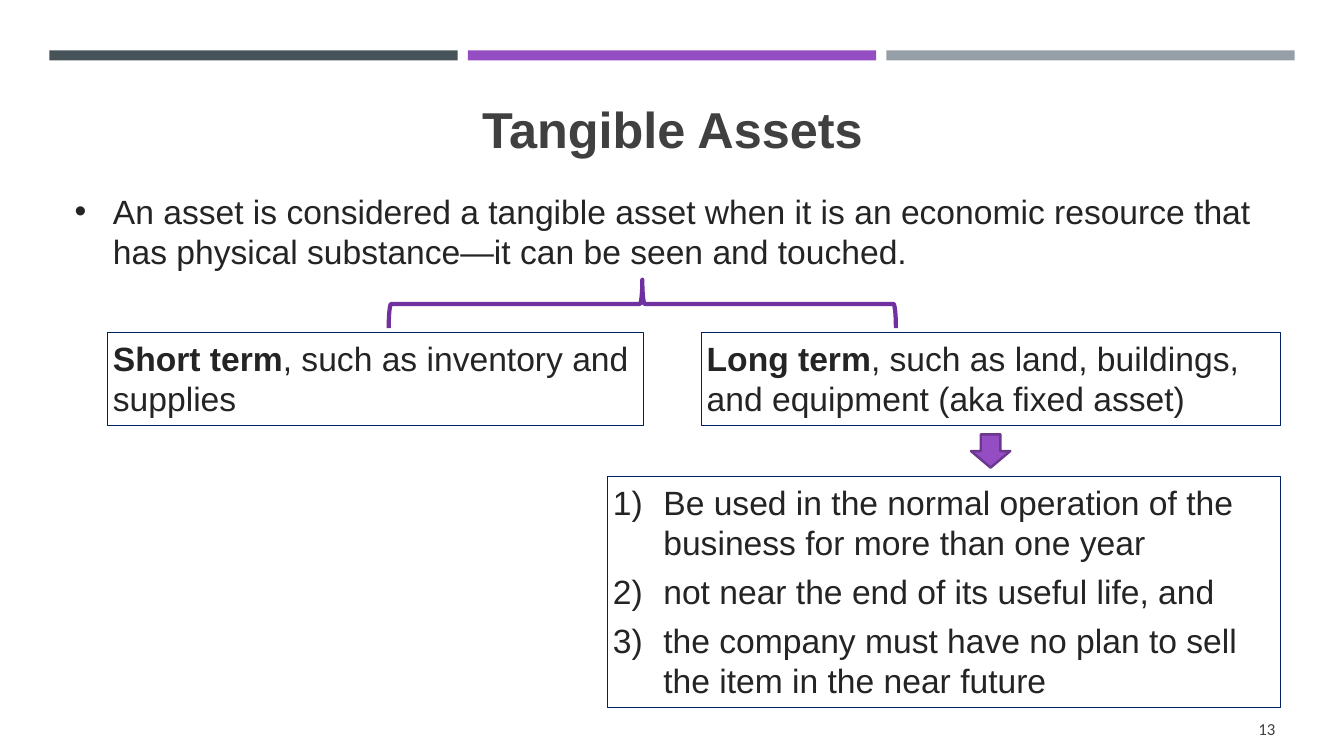
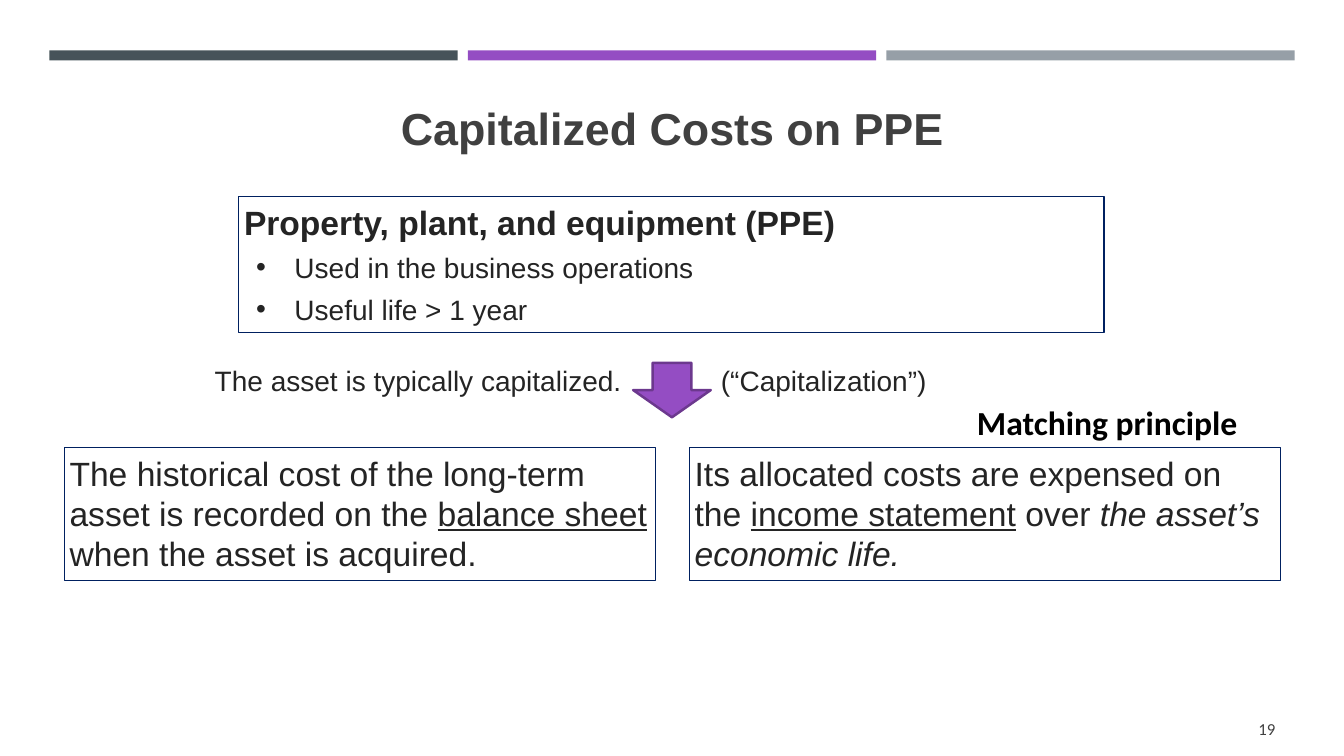
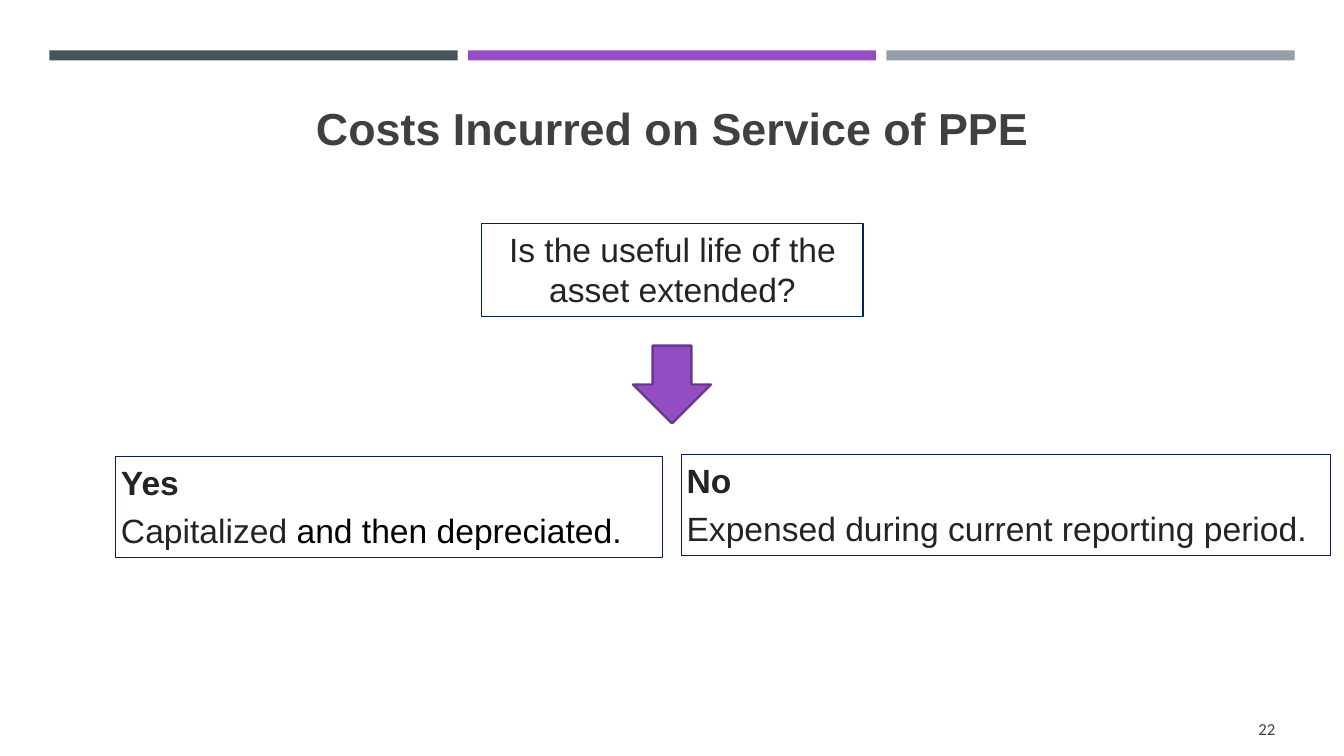
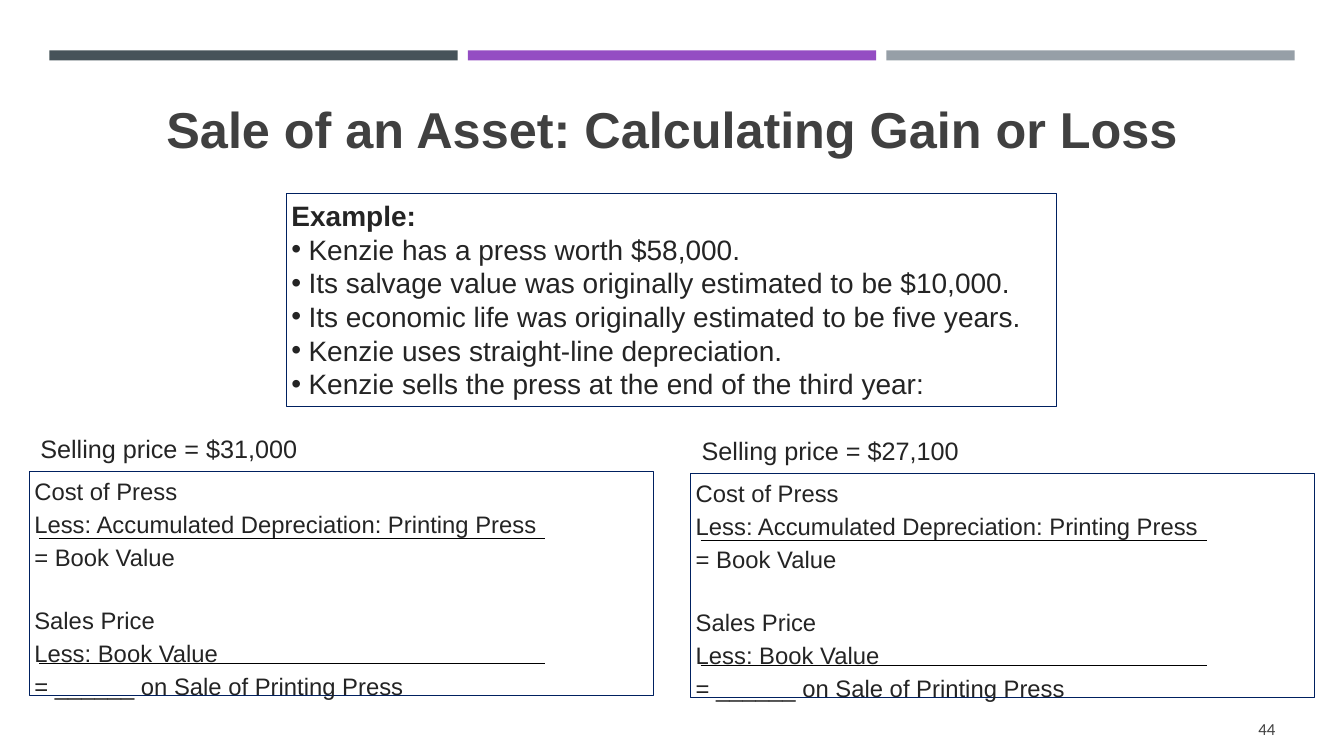
from dataclasses import dataclass

from lxml.etree import SubElement
from pptx import Presentation
from pptx.dml.color import RGBColor
from pptx.enum.shapes import MSO_CONNECTOR, MSO_SHAPE
from pptx.enum.text import MSO_ANCHOR, MSO_AUTO_SIZE, PP_ALIGN
from pptx.oxml.ns import qn
from pptx.util import Inches, Pt

COLORS = {
    "slate": "465359",
    "purple": "944DC3",
    "gray": "969FA7",
    "title": "404040",
    "text": "242424",
    "black": "000000",
    "box_line": "002060",
    "brace": "7030A0",
    "arrow_line": "6C388E",
}
BODY_FONT = "Arial"
NUMBER_FONT = "Calibri"
BOLD = {"bold": True}
ITALIC = {"italic": True}
UNDERLINE = {"underline": True}


@dataclass
class Line:
    """One paragraph: plain text or (text, style) runs, with its spacing and bullet."""

    runs: object
    size: float = 24
    before: float = 0
    bullet: str = ""
    margin: float = 0
    hanging: float = 0
    align: PP_ALIGN = PP_ALIGN.LEFT
    font: str = BODY_FONT
    color: str = "text"


def rgb(name):
    """Return the named colour."""
    return RGBColor.from_string(COLORS[name])


def set_bullet(paragraph, line):
    """Set the indents and the bullet, number or absence of both."""
    properties = paragraph._p.get_or_add_pPr()
    properties.set("marL", str(Inches(line.margin)))
    properties.set("indent", str(Inches(-line.hanging)))
    if not line.bullet:
        SubElement(properties, qn("a:buNone"))
        return
    SubElement(properties, qn("a:buFont"), typeface=BODY_FONT)
    if line.bullet == "number":
        SubElement(properties, qn("a:buAutoNum"), type="arabicParenR")
    else:
        SubElement(properties, qn("a:buChar"), char=line.bullet)


def write_lines(shape, lines, anchor=MSO_ANCHOR.TOP):
    """Fill a shape with formatted paragraphs."""
    frame = shape.text_frame
    frame.word_wrap = True
    frame.auto_size = MSO_AUTO_SIZE.NONE
    frame.vertical_anchor = anchor
    frame.margin_left = frame.margin_right = Inches(0.05)
    frame.margin_top = frame.margin_bottom = Inches(0.05)
    for index, line in enumerate(lines):
        paragraph = frame.add_paragraph() if index else frame.paragraphs[0]
        paragraph.alignment = line.align
        paragraph.space_before = Pt(line.before if index else 0)
        set_bullet(paragraph, line)
        runs = [(line.runs, {})] if isinstance(line.runs, str) else line.runs
        for text, style in runs:
            run = paragraph.add_run()
            run.text = text
            run.font.name = line.font
            run.font.size = Pt(line.size)
            run.font.bold = style.get("bold", False)
            run.font.italic = style.get("italic", False)
            run.font.underline = style.get("underline", False)
            run.font.color.rgb = rgb(style.get("color", line.color))


def place(shape, left, top, width, height):
    """Move and size a shape."""
    shape.left, shape.top = Inches(left), Inches(top)
    shape.width, shape.height = Inches(width), Inches(height)


def outline(shape, color="box_line", width=0.75):
    """Give a shape a solid outline."""
    shape.line.color.rgb = rgb(color)
    shape.line.width = Pt(width)


def add_preset(slide, kind, position, fill=None):
    """Add a preset shape without shadow or outline."""
    shape = slide.shapes.add_shape(kind, *map(Inches, position))
    shape.shadow.inherit = False
    shape.line.fill.background()
    if fill:
        shape.fill.solid()
        shape.fill.fore_color.rgb = rgb(fill)
    else:
        shape.fill.background()
    return shape


def add_label(slide, position, lines, anchor=MSO_ANCHOR.TOP):
    """Add a text box without outline."""
    label = slide.shapes.add_textbox(*map(Inches, position))
    write_lines(label, lines, anchor)
    return label


def add_box(slide, position, lines):
    """Add an outlined text box."""
    outline(add_label(slide, position, lines))


def fill_body(slide, position, lines, outlined=True):
    """Move and fill the body placeholder."""
    body = slide.placeholders[1]
    place(body, *position)
    write_lines(body, lines)
    if outlined:
        outline(body)


def add_arrow(slide, left, top, width, height):
    """Add a purple down arrow."""
    arrow = add_preset(slide, MSO_SHAPE.DOWN_ARROW, (left, top, width, height), "purple")
    outline(arrow, "arrow_line", 1.75)


def add_rule(slide, left, top, width):
    """Add a thin black horizontal line."""
    rule = slide.shapes.add_connector(
        MSO_CONNECTOR.STRAIGHT, Inches(left), Inches(top), Inches(left + width), Inches(top)
    )
    outline(rule, "black", 1)
    SubElement(rule.element.spPr, qn("a:effectLst"))


def prepare_layout(presentation):
    """Put the title position and the three bands on the shared layout."""
    layout = presentation.slide_layouts[1]
    place(layout.placeholders[0], 0.64, 0.62, 12.06, 1.3)
    return layout


def add_bands(slide, layout):
    """Draw the three top bands and move them to the layout."""
    for index, color in enumerate(("slate", "purple", "gray")):
        position = (0.49 + index * 4.15, 0.5, 4.05, 0.1)
        band = add_preset(slide, MSO_SHAPE.RECTANGLE, position, color)
        layout.shapes.element.append(band.element)


def add_slide(presentation, layout, title, title_size, number):
    """Add a slide with its title and page number."""
    slide = presentation.slides.add_slide(layout)
    heading = Line([(title, BOLD)], title_size, align=PP_ALIGN.CENTER, color="title")
    write_lines(slide.shapes.title, [heading], MSO_ANCHOR.MIDDLE)
    page = Line(str(number), 12, align=PP_ALIGN.RIGHT, font=NUMBER_FONT, color="title")
    add_label(slide, (12.4, 7.08, 0.3, 0.29), [page], MSO_ANCHOR.MIDDLE)
    return slide


def build_tangible_assets(slide):
    """Split tangible assets into short and long term."""
    definition = (
        "An asset is considered a tangible asset when it is an economic resource that "
        "has physical substance—it can be seen and touched."
    )
    fill_body(
        slide,
        (0.69, 1.84, 11.96, 0.91),
        [Line(definition, bullet="•", margin=0.38, hanging=0.38)],
        outlined=False,
    )
    terms = (
        (1.07, 5.31, "Short term", ", such as inventory and supplies"),
        (6.96, 5.74, "Long term", ", such as land, buildings, and equipment (aka fixed asset)"),
    )
    for left, width, term, examples in terms:
        add_box(slide, (left, 3.3, width, 0.92), [Line([(term, BOLD), (examples, {})])])
    conditions = (
        "Be used in the normal operation of the business for more than one year",
        "not near the end of its useful life, and",
        "the company must have no plan to sell the item in the near future",
    )
    add_box(
        slide,
        (6.03, 4.73, 6.67, 2.29),
        [Line(text, before=6, bullet="number", margin=0.5, hanging=0.5) for text in conditions],
    )
    brace = add_preset(slide, MSO_SHAPE.LEFT_BRACE, (6.13, 0.5, 0.48, 5.03))
    brace.rotation = 90
    brace.adjustments[0] = 0.05
    outline(brace, "brace", 3)
    add_arrow(slide, 9.63, 4.31, 0.39, 0.33)


def build_capitalized_costs(slide):
    """Show how the cost of PPE is capitalized and expensed."""
    traits = ("Used in the business operations", "Useful life > 1 year")
    fill_body(
        slide,
        (2.37, 1.95, 8.58, 1.35),
        [Line([("Property, plant, and equipment (PPE)", BOLD)])]
        + [Line(text, 20, 6, "•", 0.5, 0.38) for text in traits],
    )
    add_arrow(slide, 6.28, 3.6, 0.77, 0.54)
    add_label(slide, (2.08, 3.56, 4.3, 0.43), [Line("The asset is typically capitalized.", 20)])
    add_label(slide, (7.1, 3.56, 2.3, 0.43), [Line("(“Capitalization”)", 20)])
    statements = (
        [
            ("The historical cost of the long-term asset is recorded on the ", {}),
            ("balance sheet", UNDERLINE),
            (" when the asset is acquired.", {}),
        ],
        [
            ("Its allocated costs are expensed on the ", {}),
            ("income statement", UNDERLINE),
            (" over", {}),
            (" the asset’s economic life.", ITALIC),
        ],
    )
    for index, runs in enumerate(statements):
        add_box(slide, (0.64 + index * 6.2, 4.44, 5.86, 1.32), [Line(runs)])
    principle = Line([("Matching principle", BOLD)], font=NUMBER_FONT, color="black")
    add_label(slide, (9.64, 3.94, 3.06, 0.5), [principle])


def build_service_costs(slide):
    """Ask whether a service cost extends the useful life."""
    question = Line("Is the useful life of the asset extended?", align=PP_ALIGN.CENTER)
    fill_body(slide, (4.78, 2.22, 3.78, 0.92), [question])
    treatment = [("Capitalized", {}), (" and then depreciated.", {"color": "black"})]
    answers = (
        ((1.15, 4.53, 5.42, 1), "Yes", treatment),
        ((6.76, 4.51, 6.44, 1), "No", "Expensed during current reporting period."),
    )
    for position, answer, result in answers:
        add_box(slide, position, [Line([(answer, BOLD)]), Line(result, before=6)])
    add_arrow(slide, 6.28, 3.43, 0.77, 0.77)


def add_sale_calculation(slide, left, top, price):
    """Add one selling price with its gain or loss calculation."""
    add_label(slide, (left + 0.06, top - 0.43, 2.8, 0.41), [Line(f"Selling price = {price}", 18)])
    steps = (
        ("Cost of Press", 0),
        ("Less: Accumulated Depreciation: Printing Press", 3),
        ("= Book Value", 3),
        ("Sales Price", 25),
        ("Less: Book Value", 3),
        ("= ______ on Sale of Printing Press", 3),
    )
    add_box(slide, (left, top, 6.19, 2.22), [Line(text, 17, before) for text, before in steps])
    for offset in (0.66, 1.9):
        add_rule(slide, left + 0.1, top + offset, 5.02)


def build_asset_sale(slide):
    """Work through the sale of a press at two prices."""
    facts = (
        "Kenzie has a press worth $58,000.",
        "Its salvage value was originally estimated to be $10,000.",
        "Its economic life was originally estimated to be five years.",
        "Kenzie uses straight-line depreciation.",
        "Kenzie sells the press at the end of the third year:",
    )
    fill_body(
        slide,
        (2.84, 1.92, 7.64, 2.11),
        [Line([("Example:", BOLD)], 20)]
        + [Line(text, 20, bullet="•", margin=0.17, hanging=0.17) for text in facts],
    )
    add_sale_calculation(slide, 0.29, 4.68, "$31,000")
    add_sale_calculation(slide, 6.85, 4.7, "$27,100")


def main():
    """Build and save the presentation."""
    presentation = Presentation()
    presentation.slide_width = Inches(13.33)
    presentation.slide_height = Inches(7.5)
    layout = prepare_layout(presentation)
    pages = (
        ("Tangible Assets", 36, 13, build_tangible_assets),
        ("Capitalized Costs on PPE", 32, 19, build_capitalized_costs),
        ("Costs Incurred on Service of PPE", 32, 22, build_service_costs),
        ("Sale of an Asset: Calculating Gain or Loss", 36, 44, build_asset_sale),
    )
    for title, size, number, build in pages:
        build(add_slide(presentation, layout, title, size, number))
    add_bands(presentation.slides[0], layout)
    presentation.save("out.pptx")


if __name__ == "__main__":
    main()
